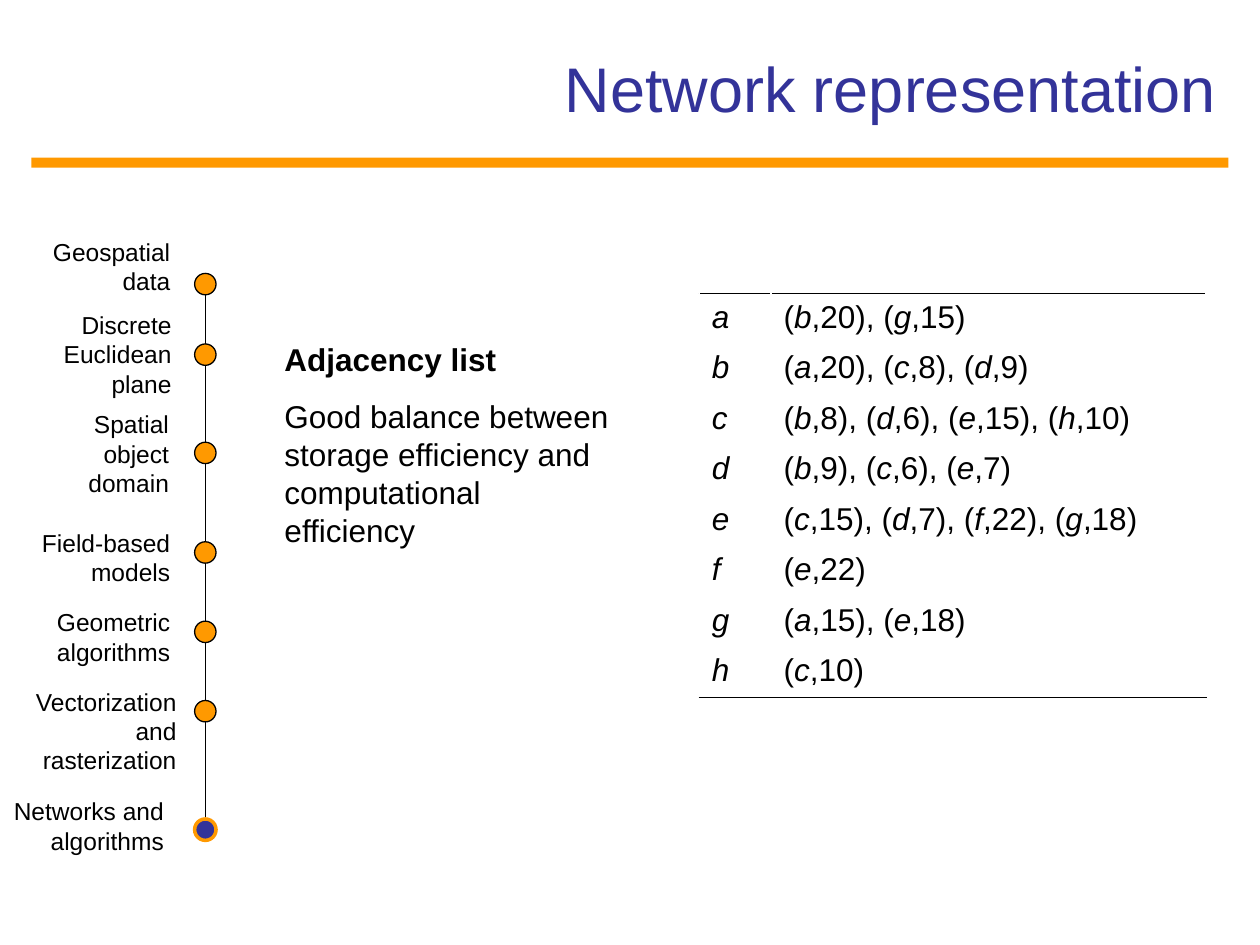
"""Build the network representation slide with its topic timeline and adjacency list."""
from lxml import etree
from pptx import Presentation
from pptx.dml.color import RGBColor
from pptx.enum.shapes import MSO_CONNECTOR, MSO_SHAPE
from pptx.enum.text import MSO_ANCHOR, PP_ALIGN
from pptx.oxml.ns import qn
from pptx.util import Inches, Pt

RECT, OVAL = MSO_SHAPE.RECTANGLE, MSO_SHAPE.OVAL
STRAIGHT = MSO_CONNECTOR.STRAIGHT
RIGHT, MIDDLE = PP_ALIGN.RIGHT, MSO_ANCHOR.MIDDLE
COLORS = {"orange": "FF9900", "blue": "333399", "black": "000000"}

prs = Presentation()
prs.slide_width, prs.slide_height = Inches(10), Inches(7.5)
COL, ROW = prs.slide_width / 100, prs.slide_height / 75
s = prs.slides.add_slide(prs.slide_layouts[5])


def grid(x, y, w, h):
    return int(x * COL), int(y * ROW), int(w * COL), int(h * ROW)


def add_run(p, text, size, color="black", bold=False, italic=False):
    r = p.add_run()
    r.text = text
    r.font.name, r.font.size = "Arial", Pt(size)
    r.font.bold, r.font.italic = bold, italic
    r.font.color.rgb = RGBColor.from_string(COLORS[color])


title = s.shapes.title
title.left, title.top, title.width, title.height = grid(7.5, 2.2, 90, 9.5)
title.text_frame.vertical_anchor = MIDDLE
p = title.text_frame.paragraphs[0]
p.alignment = RIGHT
add_run(p, "Network representation", 36, "blue")

rule = s.shapes.add_shape(RECT, *grid(2.5, 12.5, 95, 0.8))
rule.shadow.inherit = False
rule.fill.solid()
rule.fill.fore_color.rgb = RGBColor.from_string(COLORS["orange"])
rule.line.fill.background()

x, top, _, bottom = grid(16.3, 21.7, 0, 65.8)
axis = s.shapes.add_connector(STRAIGHT, x, top, x, bottom)
axis.line.color.rgb = RGBColor.from_string(COLORS["black"])
axis.line.width = Pt(0.75)
etree.SubElement(axis._element.spPr, qn("a:effectLst"))

TOPICS = [
    ("Geospatial data", (2, 18.3, 12.5, 5.7), 21.7),
    ("Discrete Euclidean plane", (2.7, 24.1, 11.9, 8), 27.3),
    ("Spatial object domain", (2.7, 32, 11.7, 8), 35.1),
    ("Field-based models", (1.5, 41.4, 13, 5.7), 43),
    ("Geometric algorithms", (3.2, 47.7, 11.3, 5.7), 49.3),
    ("Vectorization and rasterization", (0, 54, 15, 8), 55.6),
    ("Networks and algorithms", (0, 62.7, 14, 5.7), 65),
]
for label, area, dot_top in TOPICS:
    current = label == TOPICS[-1][0]
    tf = s.shapes.add_textbox(*grid(*area)).text_frame
    tf.word_wrap = True
    p = tf.paragraphs[0]
    p.alignment = RIGHT
    add_run(p, label, 14)
    dot = s.shapes.add_shape(OVAL, *grid(15.45, dot_top, 1.7, 1.7))
    dot.shadow.inherit = False
    dot.fill.solid()
    dot.fill.fore_color.rgb = RGBColor.from_string(COLORS["blue" if current else "orange"])
    dot.line.color.rgb = RGBColor.from_string(COLORS["orange" if current else "black"])
    dot.line.width = Pt(2 if current else 0.75)

tf = s.shapes.add_textbox(*grid(21.6, 26.5, 28.4, 17.6)).text_frame
tf.word_wrap = True
add_run(tf.paragraphs[0], "Adjacency list", 18, bold=True)
p = tf.add_paragraph()
p.space_before = Pt(11.2)
add_run(p, "Good balance between storage efficiency and computational efficiency", 18)

NEIGHBOURS = {
    "a": {"b": 20, "g": 15},
    "b": {"a": 20, "c": 8, "d": 9},
    "c": {"b": 8, "d": 6, "e": 15, "h": 10},
    "d": {"b": 9, "c": 6, "e": 7},
    "e": {"c": 15, "d": 7, "f": 22, "g": 18},
    "f": {"e": 22},
    "g": {"a": 15, "e": 18},
    "h": {"c": 10},
}
last = len(NEIGHBOURS) - 1
table = s.shapes.add_table(last + 1, 2, *grid(55.5, 23.3, 40.2, 27.6)).table
table.first_row = table.horz_banding = False
table.columns[0].width, table.columns[1].width = int(5.7 * COL), int(34.5 * COL)
for i, (node, edges) in enumerate(NEIGHBOURS.items()):
    add_run(table.cell(i, 0).text_frame.paragraphs[0], node, 18, italic=True)
    p = table.cell(i, 1).text_frame.paragraphs[0]
    lead = "("
    for neighbour, weight in edges.items():
        add_run(p, lead, 18)
        add_run(p, neighbour, 18, italic=True)
        lead = f",{weight}), ("
    add_run(p, f",{weight})", 18)
    for cell in table.rows[i].cells:
        cell.fill.background()
        if i in (0, last):
            tcPr = cell._tc.get_or_add_tcPr()
            ln = etree.Element(qn("a:lnT" if i == 0 else "a:lnB"), w=str(Pt(0.45)))
            fill = etree.SubElement(ln, qn("a:solidFill"))
            etree.SubElement(fill, qn("a:srgbClr"), val=COLORS["black"])
            tcPr.insert(0, ln)

prs.save("out.pptx")
